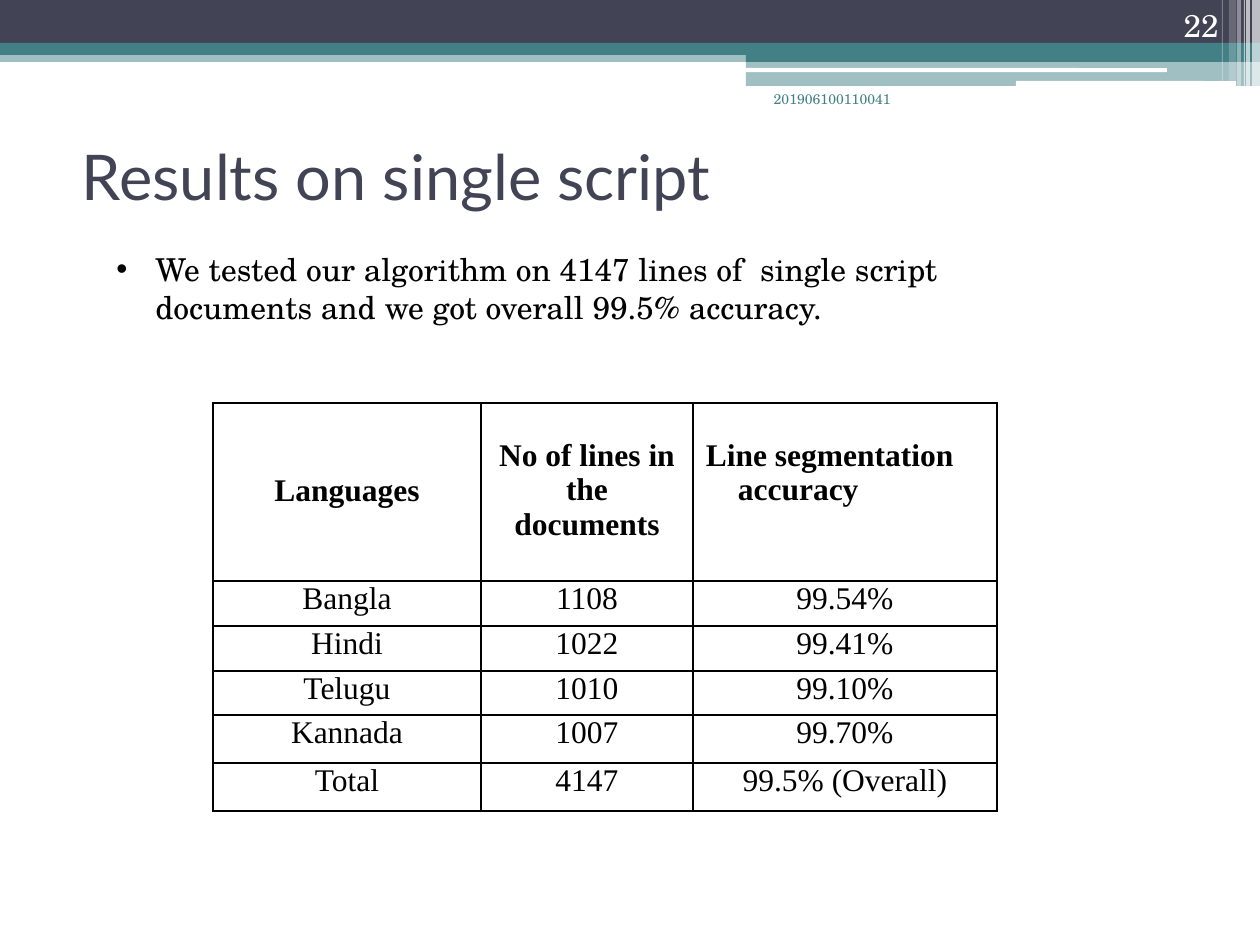
from lxml.etree import SubElement
from pptx import Presentation
from pptx.dml.color import RGBColor
from pptx.enum.shapes import MSO_SHAPE
from pptx.enum.text import MSO_ANCHOR, MSO_AUTO_SIZE, PP_ALIGN
from pptx.oxml import parse_xml
from pptx.oxml.ns import nsdecls, qn
from pptx.util import Pt

EMU_PER_PIXEL = 914400 / 126
COLORS = {"navy": "424456", "teal": "438086", "white": "FFFFFF", "black": "000000"}
SERIF = "TeX Gyre Schola"
TABLE_FONT = "Times New Roman"

BANDS = [
    (0, 50, 1260, 12, "teal", 50),
    (0, 0, 1260, 43, "navy", 100),
    (0, 43, 1260, 12, "teal", 100),
    (746, 49, 514, 13, "teal", 100),
    (746, 61, 514, 25, "teal", 50),
]
HIGHLIGHTS = [(745, 68, 422, 4), (1016, 81, 220, 5)]
STRIPES = [
    (1252, 8, 86, 65),
    (1246, 4, 86, 65),
    (1244, 1, 86, 60),
    (1237, 4, 86, 40),
    (1229, 7, 81, 20),
    (1222, 1, 81, 30),
]

COLUMN_WIDTHS = [268, 212, 304]
ROW_HEIGHTS = [178, 45, 45, 44, 48, 48]
HEADERS = [
    ("Languages", 70, 0, 0, PP_ALIGN.CENTER),
    ("No of lines in the documents", 35, 16, 0, PP_ALIGN.CENTER),
    ("Line segmentation accuracy", 35, 45, -32, PP_ALIGN.LEFT),
]
RESULTS = [
    ("Bangla", "1108", "99.54%"),
    ("Hindi", "1022", "99.41%"),
    ("Telugu", "1010", "99.10%"),
    ("Kannada", "1007", "99.70%"),
    ("Total", "4147", "99.5% (Overall)"),
]


def px(pixels):
    """Turn pixels into EMU."""
    return round(pixels * EMU_PER_PIXEL)


def add_bar(slide, left, top, width, height, color, opacity=100, kind=MSO_SHAPE.RECTANGLE):
    """Add a borderless bar with an opacity in percent."""
    shape = slide.shapes.add_shape(kind, px(left), px(top), px(width), px(height))
    shape.shadow.inherit = False
    shape.line.fill.background()
    shape.fill.solid()
    shape.fill.fore_color.rgb = RGBColor.from_string(COLORS[color])
    if opacity < 100:
        color_element = shape.fill._xPr.find(".//" + qn("a:srgbClr"))
        SubElement(color_element, qn("a:alpha"), val=str(opacity * 1000))


def format_paragraph(paragraph, font, size, color, alignment=PP_ALIGN.LEFT, bold=False):
    """Set the font and alignment of a paragraph."""
    paragraph.alignment = alignment
    paragraph.font.name = font
    paragraph.font.size = Pt(size)
    paragraph.font.bold = bold
    paragraph.font.color.rgb = RGBColor.from_string(COLORS[color])


def set_indent(paragraph, margin, first_line):
    """Set the left margin and first-line indent of a paragraph."""
    properties = paragraph._p.get_or_add_pPr()
    properties.set("marL", str(px(margin)))
    properties.set("indent", str(px(first_line)))


def add_text(slide, box, text, size, color, alignment=PP_ALIGN.LEFT, anchor=MSO_ANCHOR.TOP):
    """Add a wrapping text box and return it."""
    shape = slide.shapes.add_textbox(*map(px, box))
    frame = shape.text_frame
    frame.word_wrap = True
    frame.vertical_anchor = anchor
    frame.text = text
    format_paragraph(frame.paragraphs[0], SERIF, size, color, alignment)
    return shape


def add_title(slide, text):
    """Place and format the title placeholder."""
    title = slide.shapes.title
    title.left, title.top, title.width, title.height = map(px, (54, 106, 1134, 139))
    frame = title.text_frame
    frame.text = text
    frame.auto_size = MSO_AUTO_SIZE.NONE
    frame.vertical_anchor = MSO_ANCHOR.MIDDLE
    frame.margin_left = px(28)
    format_paragraph(frame.paragraphs[0], "Lato", 36, "navy")


def add_bullet_text(slide, box, text):
    """Add a bulleted paragraph with a hanging indent."""
    paragraph = add_text(slide, box, text, 18, "black").text_frame.paragraphs[0]
    set_indent(paragraph, 39, -39)
    properties = paragraph._p.get_or_add_pPr()
    bullet_font = parse_xml(f'<a:buFont {nsdecls("a")} typeface="Arial"/>')
    bullet = parse_xml(f'<a:buChar {nsdecls("a")} char="\u2022"/>')
    defaults = properties.find(qn("a:defRPr"))
    defaults.addprevious(bullet_font)
    defaults.addprevious(bullet)


def draw_borders(cell):
    """Draw a thin black line on each side of a cell."""
    properties = cell._tc.get_or_add_tcPr()
    for position, side in enumerate(("lnL", "lnR", "lnT", "lnB")):
        line = parse_xml(
            f'<a:{side} {nsdecls("a")} w="{Pt(1)}"><a:solidFill>'
            f'<a:srgbClr val="{COLORS["black"]}"/></a:solidFill></a:{side}>'
        )
        properties.insert(position, line)


def fill_cell(cell, text, top=0, margin=0, first_line=0, alignment=PP_ALIGN.CENTER, bold=False):
    """Write one table cell, with equal side margins where it is centred."""
    side_margin = margin if alignment == PP_ALIGN.CENTER else 0
    cell.margin_left = cell.margin_right = px(side_margin)
    cell.margin_top, cell.margin_bottom = px(top), 0
    cell.fill.background()
    draw_borders(cell)
    cell.text = text
    paragraph = cell.text_frame.paragraphs[0]
    format_paragraph(paragraph, TABLE_FONT, 18, "black", alignment, bold)
    set_indent(paragraph, margin - side_margin, first_line)
    if not bold:
        paragraph.space_before = Pt(1)


def add_results_table(slide):
    """Add the accuracy table."""
    frame = slide.shapes.add_table(
        len(ROW_HEIGHTS), len(COLUMN_WIDTHS), px(213), px(403),
        px(sum(COLUMN_WIDTHS)), px(sum(ROW_HEIGHTS)),
    )
    table = frame.table
    table.first_row = table.horz_banding = False
    for column, width in zip(table.columns, COLUMN_WIDTHS):
        column.width = px(width)
    for row, height in zip(table.rows, ROW_HEIGHTS):
        row.height = px(height)
    for index, header in enumerate(HEADERS):
        fill_cell(table.cell(0, index), *header, bold=True)
    for row_index, result in enumerate(RESULTS, 1):
        for index, text in enumerate(result):
            fill_cell(table.cell(row_index, index), text)


def main():
    """Build the slide and save it."""
    presentation = Presentation()
    presentation.slide_width, presentation.slide_height = px(1260), px(945)
    slide = presentation.slides.add_slide(presentation.slide_layouts[5])
    for band in BANDS:
        add_bar(slide, *band)
    for highlight in HIGHLIGHTS:
        add_bar(slide, *highlight, "white", kind=MSO_SHAPE.ROUNDED_RECTANGLE)
    for left, width, height, opacity in STRIPES:
        add_bar(slide, left, 0, width, height, "white", opacity)
    add_title(slide, "Results on single script")
    number = add_text(slide, (725, 84, 182, 63), "201906100110041", 8, "teal", PP_ALIGN.RIGHT)
    number.text_frame.margin_right = px(16)
    add_text(slide, (1126, 0, 105, 50), "22", 18, "white", PP_ALIGN.RIGHT, MSO_ANCHOR.BOTTOM)
    add_bullet_text(
        slide, (104, 244, 1002, 89),
        "We tested our algorithm on 4147 lines of  single script documents "
        "and we got overall 99.5% accuracy.",
    )
    add_results_table(slide)
    presentation.save("out.pptx")


main()
